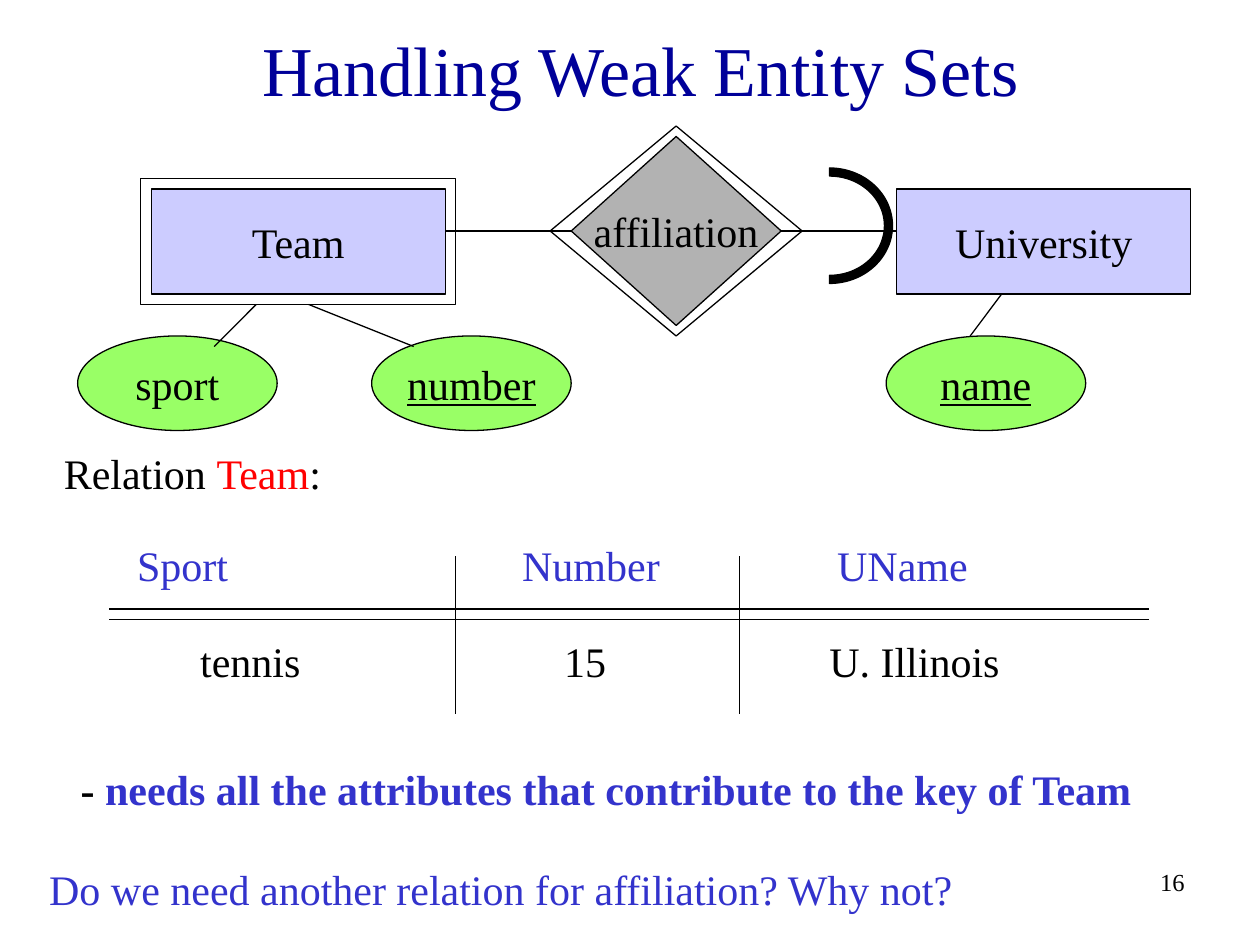
from lxml import etree
from pptx import Presentation, util as u
from pptx.dml.color import RGBColor
from pptx.enum import shapes as es, text as et
from pptx.oxml.ns import qn

BLACK = RGBColor(0, 0, 0)
NAVY = RGBColor(0x00, 0x00, 0x99)
BLUE = RGBColor(0x33, 0x33, 0xCC)
RED = RGBColor(0xFF, 0, 0)
LILAC = RGBColor(0xCC, 0xCC, 0xFF)
GREEN = RGBColor(0x99, 0xFF, 0x66)
GREY = RGBColor(0xB2, 0xB2, 0xB2)

LEFT, CENTER, RIGHT = et.PP_ALIGN.LEFT, et.PP_ALIGN.CENTER, et.PP_ALIGN.RIGHT
RECT, DIAMOND = es.MSO_SHAPE.RECTANGLE, es.MSO_SHAPE.DIAMOND
OVAL, ARC = es.MSO_SHAPE.OVAL, es.MSO_SHAPE.BLOCK_ARC
LINE_WIDTH = u.Pt(0.75)


def points(*lengths):
    return [u.Pt(length) for length in lengths]


def set_format(target, values):
    for attribute, value in values.items():
        setattr(target, attribute, value)


def write(paragraph, wording, color=BLACK, size=24, **style):
    run = paragraph.add_run()
    run.text = wording
    set_format(run.font, {"name": "Times New Roman", "size": u.Pt(size), **style})
    run.font.color.rgb = color


def add_label(slide, box, pieces, align=LEFT, anchor=et.MSO_ANCHOR.TOP, **style):
    frame = slide.shapes.add_textbox(*points(*box)).text_frame
    set_format(frame, {"word_wrap": True, "vertical_anchor": anchor})
    paragraph = frame.paragraphs[0]
    paragraph.alignment = align
    for wording, color in pieces:
        write(paragraph, wording, color, **style)


def add_node(slide, kind, box, fill=None, wording="", **style):
    node = slide.shapes.add_shape(kind, *points(*box))
    node.shadow.inherit = False
    if fill is None:
        node.fill.background()
    else:
        node.fill.solid()
        node.fill.fore_color.rgb = fill
    node.line.color.rgb = BLACK
    node.line.width = LINE_WIDTH
    if wording:
        frame = node.text_frame
        set_format(frame, {"word_wrap": False, "vertical_anchor": et.MSO_ANCHOR.MIDDLE})
        frame.paragraphs[0].alignment = CENTER
        write(frame.paragraphs[0], wording, **style)
    return node


def add_line(slide, *ends):
    line = slide.shapes.add_connector(es.MSO_CONNECTOR.STRAIGHT, *points(*ends))
    line.line.color.rgb = BLACK
    line.line.width = LINE_WIDTH
    etree.SubElement(line._element.spPr, qn("a:effectLst"))


def add_relation(slide, left, top, widths, heights, rows):
    relation = slide.shapes.add_table(
        len(rows), len(widths), *points(left, top, sum(widths), sum(heights))).table
    set_format(relation, {"first_row": False, "horz_banding": False})
    for column, width in zip(relation.columns, widths):
        column.width = u.Pt(width)
    for row, height, (color, entries) in zip(relation.rows, heights, rows):
        row.height = u.Pt(height)
        for cell, (wording, indent) in zip(row.cells, entries):
            cell.fill.background()
            set_format(cell, {"margin_left": u.Pt(indent), "margin_right": 0,
                              "margin_top": 0, "margin_bottom": 0})
            write(cell.text_frame.paragraphs[0], wording, color)


def add_diagram(slide):
    for left, entity in ((512.4, "University"), (86.4, "Team")):
        add_node(slide, RECT, (left, 108, 168, 60), LILAC, entity)
    add_node(slide, DIAMOND, (326.4, 78, 120, 108), GREY, "affiliation")
    for left, attribute, is_key in ((212.4, "number", True), (44.4, "sport", False),
                                    (506.4, "name", True)):
        add_node(slide, OVAL, (left, 192, 114, 54), GREEN, attribute, underline=is_key)
    add_node(slide, RECT, (80.4, 102, 180, 72))
    add_node(slide, DIAMOND, (314.4, 72, 144, 120))
    for ends in ((326.4, 132, 254.4, 132), (446.4, 132, 512.4, 132),
                 (146.4, 174, 122.4, 198), (176.4, 174, 236.4, 198),
                 (572.4, 168, 554.4, 192)):
        add_line(slide, *ends)
    exactly_one = add_node(slide, ARC, (441, 93, 66, 72), BLACK)
    exactly_one.adjustments[2] = 0.07
    exactly_one.rotation = 90


def add_team_relation(slide):
    left, top, widths = 62.4, 311, (198, 162, 234)
    rows = (
        (BLUE, (("Sport", 16), ("Number", 38), ("UName", 56))),
        (BLACK, (("tennis", 52), ("15", 62), ("U. Illinois", 51.5))),
    )
    add_relation(slide, left, top, widths, (55, 42), rows)
    for y in (348, 354):
        add_line(slide, left, y, left + sum(widths), y)
    for count in (1, 2):
        x = left + sum(widths[:count])
        add_line(slide, x, 318, x, 408)


def main():
    deck = Presentation()
    set_format(deck, {"slide_width": u.Pt(720), "slide_height": u.Pt(540)})
    slide = deck.slides.add_slide(deck.slide_layouts[6])
    add_label(slide, (60, 12, 612, 54), [("Handling Weak Entity Sets", NAVY)],
              CENTER, et.MSO_ANCHOR.MIDDLE, size=40)
    add_diagram(slide)
    add_label(slide, (29.4, 252, 300, 36),
              [("Relation ", BLACK), ("Team", RED), (":", BLACK)])
    add_team_relation(slide)
    add_label(slide, (39, 433, 640, 36),
              [("- ", BLACK),
               ("needs all the attributes that contribute to the key of Team", BLUE)],
              bold=True)
    add_label(slide, (21, 490, 560, 36),
              [("Do we need another relation for affiliation? Why not?", BLUE)])
    add_label(slide, (534, 492, 150, 36), [("16", BLACK)], RIGHT, size=14)
    deck.save("out.pptx")


if __name__ == "__main__":
    main()
